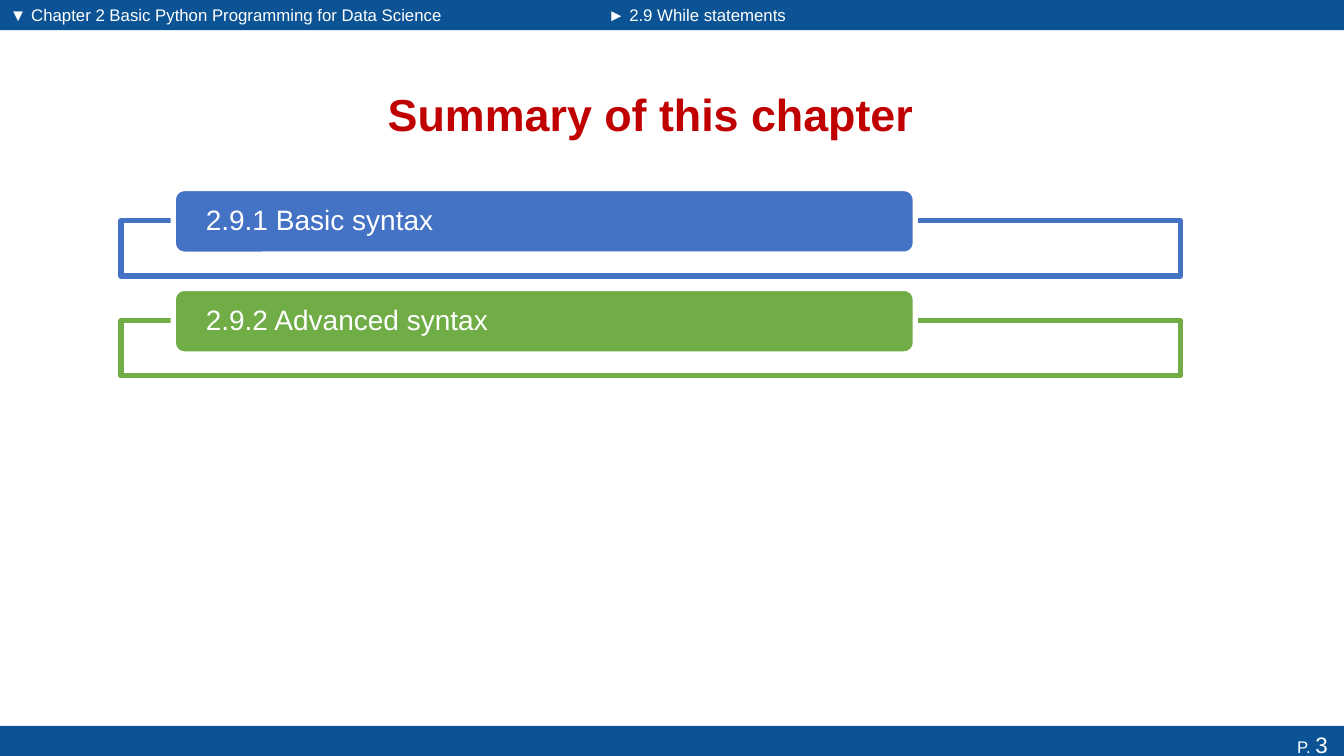
from dataclasses import dataclass

from lxml.etree import SubElement
from pptx import Presentation
from pptx.dml.color import RGBColor
from pptx.enum.shapes import MSO_SHAPE
from pptx.enum.text import MSO_ANCHOR, PP_ALIGN
from pptx.oxml.ns import qn
from pptx.util import Inches, Pt


@dataclass(frozen=True)
class Theme:
    font: str = "Arial"
    bar: str = "0B5394"
    title: str = "C00000"
    white: str = "FFFFFF"
    accents: tuple = ("4472C4", "70AD47")
    small: int = 12
    page: int = 16
    topic: int = 20
    heading: int = 32
    outline: float = 3.78


def write(frame, runs, color, align=PP_ALIGN.LEFT, anchor=MSO_ANCHOR.TOP,
          side=0.1, edge=0.05, bold=False, spacing=None, font=Theme.font):
    """Fill a text frame with one paragraph of (text, size) runs."""
    frame.word_wrap = True
    frame.vertical_anchor = anchor
    frame.margin_left = frame.margin_right = Inches(side)
    frame.margin_top = frame.margin_bottom = Inches(edge)
    paragraph = frame.paragraphs[0]
    paragraph.alignment = align
    if spacing:
        paragraph.line_spacing = spacing
    for words, size in runs:
        run = paragraph.add_run()
        run.text = words
        run.font.name = font
        run.font.size = Pt(size)
        run.font.bold = bold
        run.font.color.rgb = RGBColor.from_string(color)


class SlideBuilder:
    """Places elements on a grid of 100 columns by 100 rows."""

    def __init__(self, deck, theme):
        self.theme = theme
        self.slide = deck.slides.add_slide(deck.slide_layouts[6])
        self.column = deck.slide_width / 100
        self.row = deck.slide_height / 100

    def place(self, left, top, width, height):
        return (round(left * self.column), round(top * self.row),
                round(width * self.column), round(height * self.row))

    def block(self, area, fill, line=None, kind=MSO_SHAPE.RECTANGLE, alpha=None):
        shape = self.slide.shapes.add_shape(kind, *self.place(*area))
        shape.shadow.inherit = False
        shape.fill.solid()
        shape.fill.fore_color.rgb = RGBColor.from_string(fill)
        if alpha:
            tint = shape.fill._xPr.find(qn("a:solidFill"))[0]
            SubElement(tint, qn("a:alpha")).set("val", str(alpha * 1000))
        if line:
            shape.line.color.rgb = RGBColor.from_string(line)
            shape.line.width = Pt(self.theme.outline)
        else:
            shape.line.fill.background()
        return shape

    def label(self, area, words, size, color, **style):
        box = self.slide.shapes.add_textbox(*self.place(*area))
        write(box.text_frame, [(words, size)], color, **style)

    def topic(self, top, words, accent):
        """A rounded heading sitting on the top edge of an outlined frame."""
        theme = self.theme
        self.block((9, top + 4.25, 78.83, 7.33), theme.white, accent, alpha=90)
        heading = self.block((12.9, top, 55.2, 8.67), accent, theme.white,
                             MSO_SHAPE.ROUNDED_RECTANGLE)
        write(heading.text_frame, [(words, theme.topic)], theme.white,
              anchor=MSO_ANCHOR.MIDDLE, side=0.29, edge=0, spacing=0.9)


def main():
    deck = Presentation()
    deck.slide_width, deck.slide_height = Inches(13.33), Inches(7.5)
    theme = Theme()
    page = SlideBuilder(deck, theme)

    # Header and footer bars
    split = 44.5
    page.block((0, 0, split, 4), theme.bar)
    footer = page.block((0, 96, 100, 4.93), theme.bar)
    write(footer.text_frame, [("P. ", theme.small), ("3", theme.page)],
          theme.white, align=PP_ALIGN.RIGHT, side=0.16)
    page.block((split, 0, 100 - split, 4), theme.bar)

    # Title
    page.label((18.83, 9.07, 59.18, 12), "Summary of this chapter",
               theme.heading, theme.title, bold=True,
               align=PP_ALIGN.CENTER, anchor=MSO_ANCHOR.MIDDLE)

    # Chapter and section names
    for left, width, words in (
            (0, 36.2, "▼ Chapter 2 Basic Python Programming for Data Science"),
            (split, 19.3, "► 2.9 While statements")):
        page.label((left, 0, width, 3.87), words, theme.small, theme.white)

    # Topics of the chapter
    topics = ("2.9.1 Basic syntax", "2.9.2 Advanced syntax")
    for index, (words, accent) in enumerate(zip(topics, theme.accents)):
        page.topic(24.95 + 13.2 * index, words, accent)

    deck.save("out.pptx")


if __name__ == "__main__":
    main()
